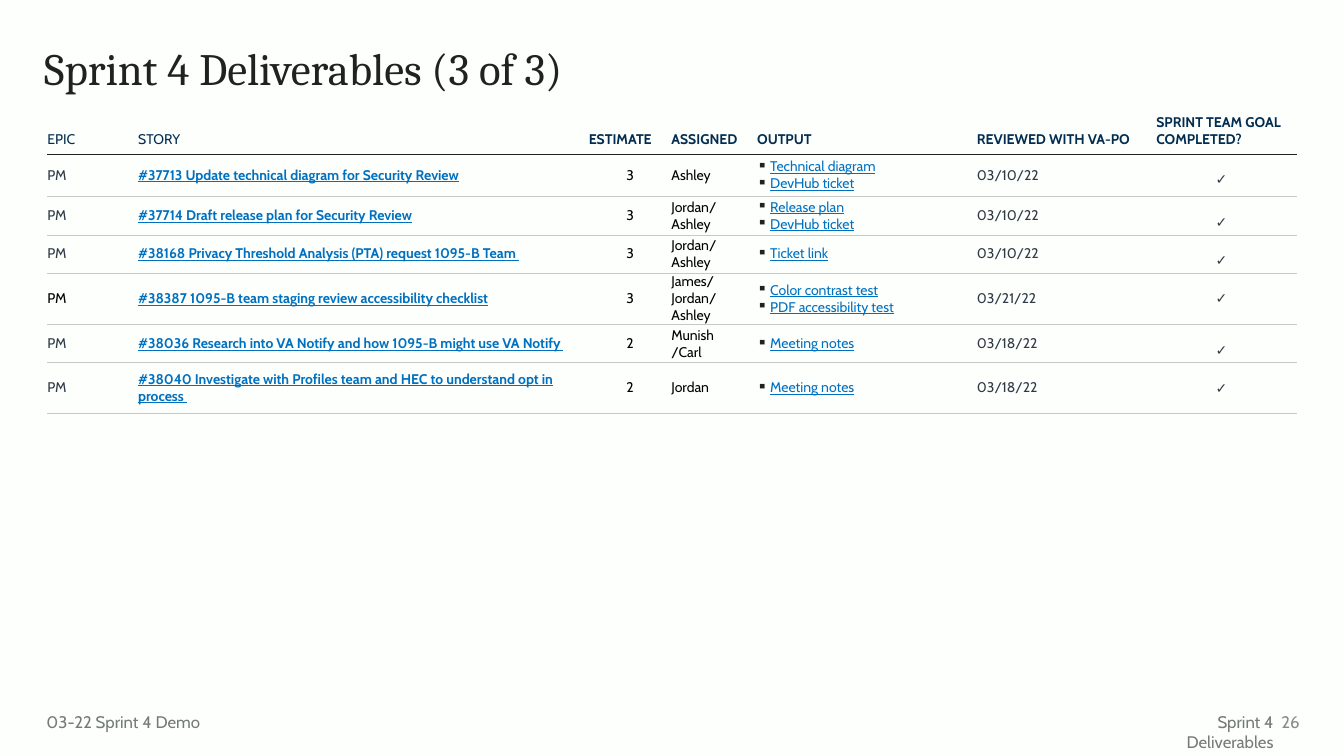
from lxml import etree
from pptx import Presentation
from pptx.dml.color import RGBColor
from pptx.enum.text import MSO_ANCHOR, PP_ALIGN
from pptx.oxml.ns import qn
from pptx.util import Inches, Pt

LEFT, CENTER, RIGHT = PP_ALIGN.LEFT, PP_ALIGN.CENTER, PP_ALIGN.RIGHT
TOP, MIDDLE = MSO_ANCHOR.TOP, MSO_ANCHOR.MIDDLE

PAPER, INK, NAVY, SLATE = "FDFFFD", "202120", "022D50", "303A46"
LINK, BLACK, RULE, FOOTER, NUMBER = "0071C0", "000000", "C7C8C7", "747C74", "8A8A8A"

# text, left, top, width, height, left inset, anchor, alignment, format
TEXTS = [
    ("Sprint 4 Deliverables (3 of 3)", 0.34, 0.41, 12.42, 0.82, 0.1, TOP, LEFT,
     {"size": 32, "name": "Cambria", "color": INK}),
    ("26", 12.55, 6.96, 0.44, 0.4, 0.1, MIDDLE, RIGHT, {"size": 12, "color": NUMBER}),
    ("Sprint 4 Deliverables", 11.09, 7.01, 1.64, 0.3, 0.1, TOP, RIGHT,
     {"size": 12, "color": FOOTER}),
    ("03-22 Sprint 4 Demo", 0.46, 7.01, 2.98, 0.3, 0, TOP, LEFT,
     {"size": 12, "color": FOOTER}),
]

TABLE_LEFT, TABLE_TOP = 0.47, 1.13
COLUMN_WIDTHS = [0.9, 4.47, 0.82, 0.85, 2.18, 1.68, 1.49]
ROW_HEIGHTS = [0.4, 0.42, 0.38, 0.38, 0.51, 0.38, 0.5]
HEADERS = ["EPIC", "STORY", "ESTIMATE", "ASSIGNED", "OUTPUT", "REVIEWED WITH VA-PO",
           "SPRINT TEAM GOAL COMPLETED?"]
STORIES = [
    ("PM", "#37713 Update technical diagram for Security Review", "3", "Ashley",
     ["Technical diagram", "DevHub ticket"], "03/10/22", "✓"),
    ("PM", "#37714 Draft release plan for Security Review", "3", "Jordan/Ashley",
     ["Release plan", "DevHub ticket"], "03/10/22", "✓"),
    ("PM", "#38168 Privacy Threshold Analysis (PTA) request 1095-B Team ", "3",
     "Jordan/Ashley", ["Ticket link"], "03/10/22", "✓"),
    ("PM", "#38387 1095-B team staging review accessibility checklist", "3",
     "James/ Jordan/Ashley", ["Color contrast test", "PDF accessibility test"],
     "03/21/22", "✓"),
    ("PM", "#38036 Research into VA Notify and how 1095-B might use VA Notify ", "2",
     "Munish/Carl", ["Meeting notes"], "03/18/22", "✓"),
    ("PM", "#38040 Investigate with Profiles team and HEC to understand opt in process ",
     "2", "Jordan", ["Meeting notes"], "03/18/22", "✓"),
]
BLACK_EPIC_ROW = 4

# One entry per column: insets (left, top, right), anchor, alignment, format
BODY_STYLES = [
    ((0, 0, 0.4), MIDDLE, LEFT, {"color": SLATE}),
    ((0, 0, 0), MIDDLE, LEFT, {"color": LINK, "bold": True, "underline": True}),
    ((0, 0, 0), MIDDLE, CENTER, {"color": BLACK}),
    ((0, 0, 0.4), MIDDLE, LEFT, {"color": BLACK}),
    ((0, 0, 0), MIDDLE, LEFT, {"color": LINK, "underline": True}),
    ((0, 0, 0), MIDDLE, LEFT, {"color": SLATE}),
    ((0, 0.17, 0), TOP, CENTER, {"color": SLATE}),
]


def rgb(color):
    return RGBColor.from_string(color)


def write(para, text, style):
    span = para.add_run()
    span.text = text
    values = {"size": 10, "name": "Cabin", "bold": False, **style}
    span.font.color.rgb = rgb(values.pop("color"))
    values["size"] = Pt(values["size"])
    for key, value in values.items():
        setattr(span.font, key, value)


def add_bullet(para):
    properties = para._p.get_or_add_pPr()
    properties.set("marL", str(Inches(0.13)))
    properties.set("indent", str(-Inches(0.13)))
    color = etree.SubElement(properties, qn("a:buClr"))
    etree.SubElement(color, qn("a:srgbClr"), val=INK)
    etree.SubElement(properties, qn("a:buChar"), char="▪")


def set_borders(cell, top, bottom):
    """Each border is (colour, points), or None for no line."""
    properties = cell._tc.get_or_add_tcPr()
    for tag, border in (("lnL", None), ("lnR", None), ("lnT", top), ("lnB", bottom)):
        line = etree.SubElement(properties, qn("a:" + tag))
        if border is None:
            etree.SubElement(line, qn("a:noFill"))
        else:
            line.set("w", str(Pt(border[1])))
            fill = etree.SubElement(line, qn("a:solidFill"))
            etree.SubElement(fill, qn("a:srgbClr"), val=border[0])


def fill_cell(cell, lines, insets, anchor, align, style, bulleted=False):
    cell.margin_left, cell.margin_top, cell.margin_right = map(Inches, insets)
    cell.margin_bottom = 0
    cell.vertical_anchor = anchor
    cell.fill.background()
    frame = cell.text_frame
    for index, line in enumerate(lines):
        para = frame.add_paragraph() if index else frame.paragraphs[0]
        para.alignment = align
        if bulleted:
            add_bullet(para)
        write(para, line, style)


def add_text(page, text, left, top, width, height, inset, anchor, align, style):
    box = page.shapes.add_textbox(*map(Inches, (left, top, width, height)))
    frame = box.text_frame
    frame.word_wrap = True
    frame.margin_left = Inches(inset)
    frame.vertical_anchor = anchor
    para = frame.paragraphs[0]
    para.alignment = align
    if style["size"] > 12:
        para.line_spacing = 0.9
    write(para, text, style)


def add_deliverables(page):
    size = sum(COLUMN_WIDTHS), sum(ROW_HEIGHTS)
    table = page.shapes.add_table(
        len(ROW_HEIGHTS), len(COLUMN_WIDTHS),
        *map(Inches, (TABLE_LEFT, TABLE_TOP, *size))).table
    table.first_row = table.horz_banding = False
    for column, width in zip(table.columns, COLUMN_WIDTHS):
        column.width = Inches(width)
    for row, height in zip(table.rows, ROW_HEIGHTS):
        row.height = Inches(height)

    header_rule, row_rule = (INK, 1), (RULE, 0.5)
    last = len(HEADERS) - 1
    for c, header in enumerate(HEADERS):
        cell = table.cell(0, c)
        set_borders(cell, None, header_rule)
        insets, anchor = ((0.1, 0, 0.1), TOP) if c == last else ((0, 0.1, 0.1), MIDDLE)
        fill_cell(cell, [header], insets, anchor, LEFT, {"color": NAVY, "bold": c > 1})

    for r, story in enumerate(STORIES, 1):
        for c, (value, (insets, anchor, align, style)) in enumerate(zip(story, BODY_STYLES)):
            cell = table.cell(r, c)
            set_borders(cell, header_rule if r == 1 else row_rule, row_rule)
            if c == 0 and r == BLACK_EPIC_ROW:
                style = {"color": BLACK}
            bulleted = isinstance(value, list)
            lines = value if bulleted else [value]
            fill_cell(cell, lines, insets, anchor, align, style, bulleted)


def main():
    deck = Presentation()
    deck.slide_width, deck.slide_height = Inches(13.33), Inches(7.5)
    page = deck.slides.add_slide(deck.slide_layouts[6])
    page.background.fill.solid()
    page.background.fill.fore_color.rgb = rgb(PAPER)
    for text in TEXTS:
        add_text(page, *text)
    add_deliverables(page)
    deck.save("out.pptx")


if __name__ == "__main__":
    main()
